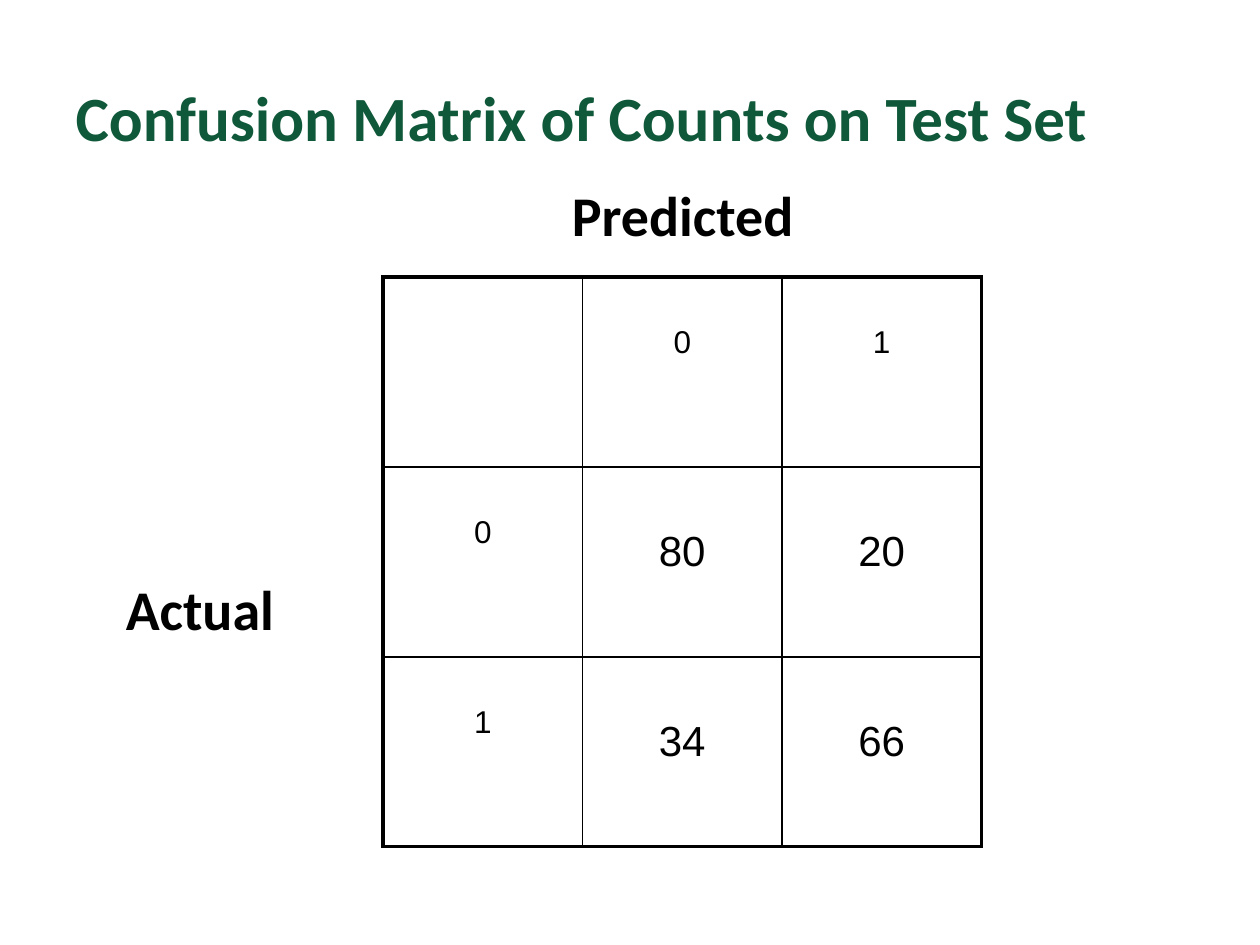
from dataclasses import dataclass

import pptx
import pptx.dml.color
import pptx.enum.text
import pptx.oxml
import pptx.oxml.ns
import pptx.util

Inches = pptx.util.Inches
Pt = pptx.util.Pt
Align = pptx.enum.text.PP_ALIGN
Anchor = pptx.enum.text.MSO_ANCHOR

COLORS = {"title": "0F583A", "text": "000000", "border": "000000"}
COUNTS = [["", "0", "1"], ["0", "80", "20"], ["1", "34", "66"]]
THIN, THICK = 1, 2.25


@dataclass
class Box:
    left: float
    top: float
    width: float
    height: float

    def lengths(self) -> list:
        return [Inches(v) for v in (self.left, self.top, self.width, self.height)]


@dataclass
class Label:
    text: str
    box: Box


LABELS = [
    Label("Actual", Box(0.9, 4.51, 1.49, 0.64)),
    Label("Predicted", Box(4.44, 1.38, 1.98, 0.64)),
]


def write_text(frame, text: str, align, color: str, **font_values) -> None:
    frame.text = text
    para = frame.paragraphs[0]
    para.alignment = align
    span = para.runs[0]
    for name, value in font_values.items():
        setattr(span.font, name, value)
    span.font.color.rgb = pptx.dml.color.RGBColor.from_string(COLORS[color])


def add_title(page, text: str, box: Box) -> None:
    title = page.shapes.title
    for name, value in zip(("left", "top", "width", "height"), box.lengths()):
        setattr(title, name, value)
    write_text(title.text_frame, text, Align.LEFT, "title",
               size=Pt(36), name="Calibri", bold=True)
    title.text_frame.vertical_anchor = Anchor.MIDDLE


def add_label(page, label: Label) -> None:
    frame = page.shapes.add_textbox(*label.box.lengths()).text_frame
    write_text(frame, label.text, Align.LEFT, "text",
               size=Pt(32), name="Calibri", bold=True)
    frame.word_wrap = False
    frame.auto_size = pptx.enum.text.MSO_AUTO_SIZE.SHAPE_TO_FIT_TEXT


def set_borders(cell, widths: dict[str, float]) -> None:
    """Put border lines, which the schema wants before the cell's fill."""
    properties = cell._tc.get_or_add_tcPr()
    for index, (side, width) in enumerate(widths.items()):
        properties.insert(index, pptx.oxml.parse_xml(
            f'<a:{side} {pptx.oxml.ns.nsdecls("a")} w="{Pt(width)}"><a:solidFill>'
            f'<a:srgbClr val="{COLORS["border"]}"/></a:solidFill></a:{side}>'))


def add_matrix(page, counts: list[list[str]], box: Box) -> None:
    last = len(counts) - 1
    table = page.shapes.add_table(len(counts), len(counts), *box.lengths()).table
    table.first_row = table.horz_banding = False
    for row, values in enumerate(counts):
        for column, value in enumerate(values):
            cell = table.cell(row, column)
            cell.fill.background()
            set_borders(cell, {
                "lnL": THICK if column == 0 else THIN,
                "lnR": THICK if column == last else THIN,
                "lnT": THICK if row == 0 else THIN,
                "lnB": THICK if row == last else THIN,
            })
            if value:
                is_count = row > 0 and column > 0
                cell.margin_top = Inches(0.49 if is_count else 0.38)
                write_text(cell.text_frame, value, Align.CENTER, "text",
                           size=Pt(24 if is_count else 18), name="Arial")


def main() -> None:
    deck = pptx.Presentation()
    deck.slide_width, deck.slide_height = Inches(10), Inches(7.5)
    page = deck.slides.add_slide(deck.slide_layouts.get_by_name("Title Only"))
    add_title(page, "Confusion Matrix of Counts on Test Set", Box(0.5, 0.3, 9, 1.25))
    add_matrix(page, COUNTS, Box(3.04, 2.2, 4.75, 4.52))
    for label in LABELS:
        add_label(page, label)
    deck.save("out.pptx")


if __name__ == "__main__":
    main()
